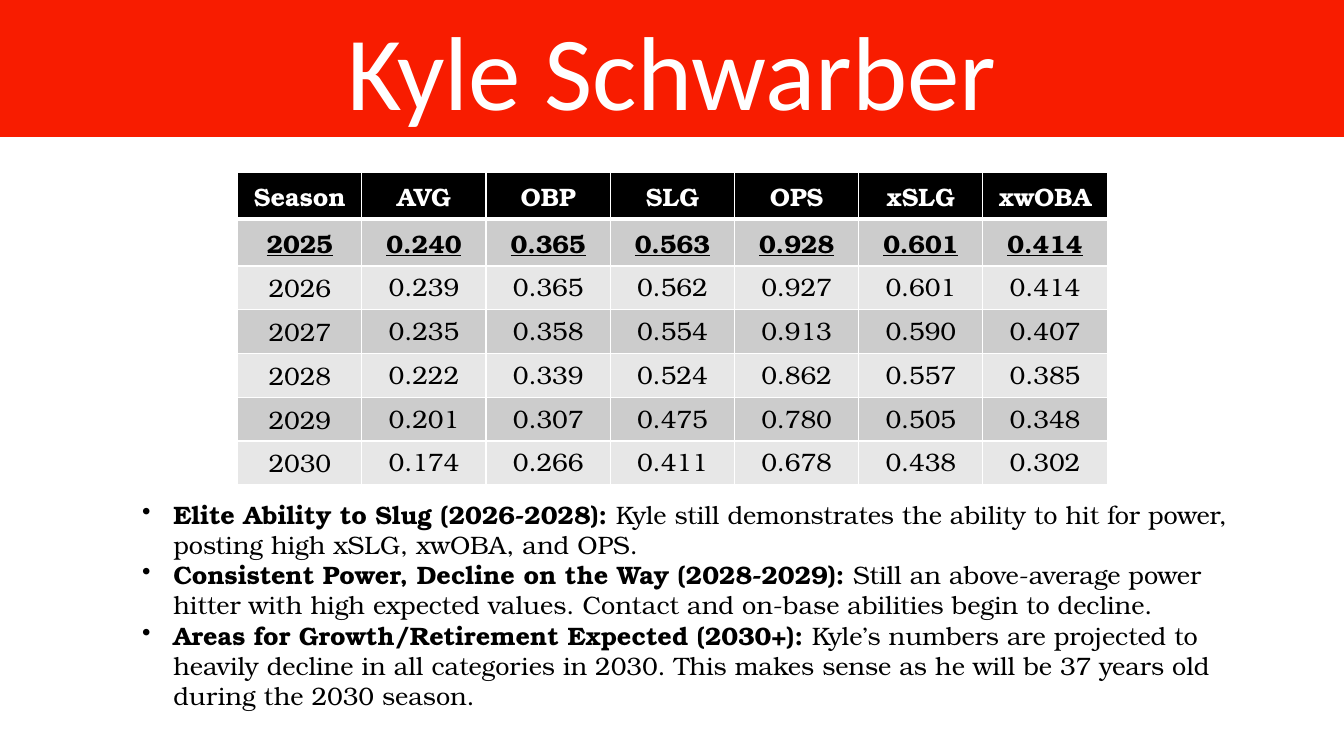
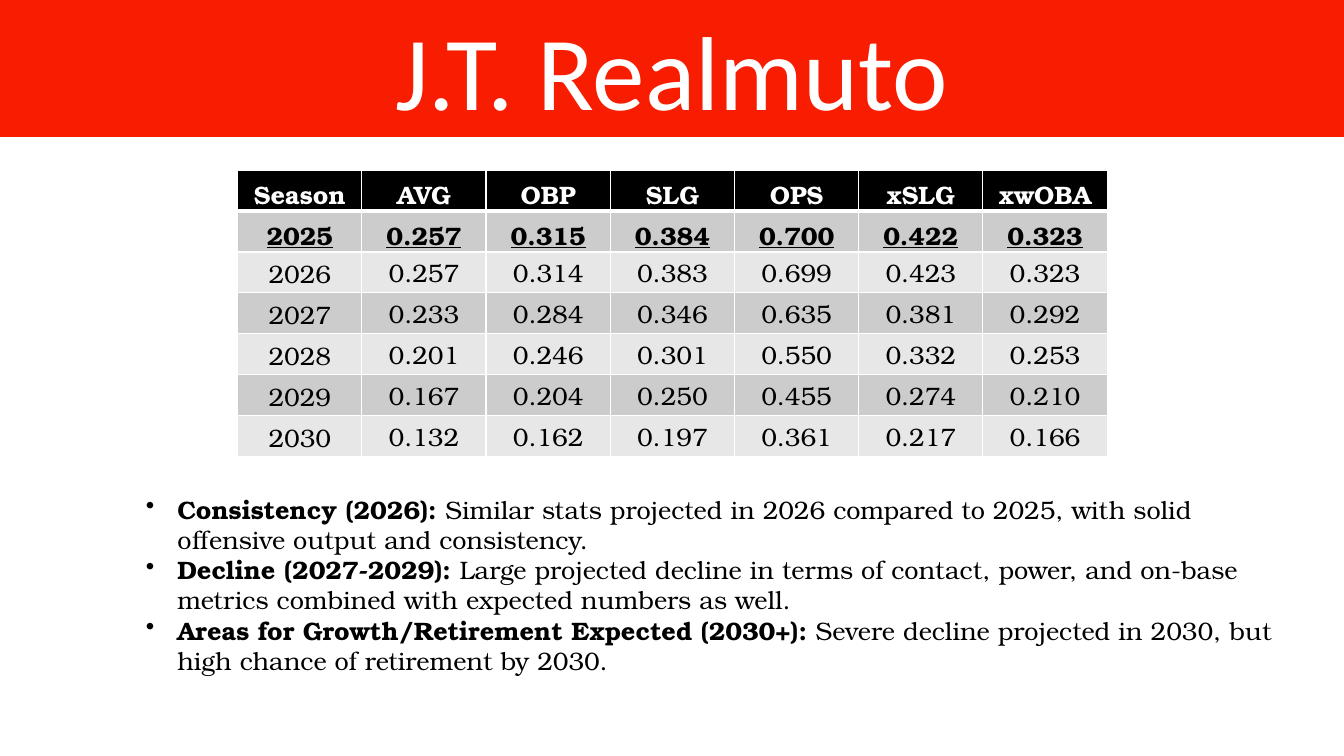
from lxml import etree
from pptx import Presentation
from pptx import util as u
from pptx.dml.color import RGBColor
from pptx.enum import shapes, text
from pptx.oxml.ns import qn

RED = RGBColor(0xF8, 0x1C, 0x00)
WHITE = RGBColor(0xFF, 0xFF, 0xFF)
BLACK = RGBColor(0x00, 0x00, 0x00)
DARK_BAND = RGBColor(0xCC, 0xCC, 0xCC)
LIGHT_BAND = RGBColor(0xE7, 0xE7, 0xE7)

TITLE_FONT = "Calibri"
BODY_FONT = "TeX Gyre Bonum"
COLUMN_WIDTH = u.Cm(3.13)
ROW_HEIGHT = u.Cm(1.03)
TABLE_LEFT = u.Cm(5.99)
BULLET_INDENT = u.Cm(0.79)
HEADINGS = ["Season", "AVG", "OBP", "SLG", "OPS", "xSLG", "xwOBA"]

PLAYERS = [
    {
        "name": "Kyle Schwarber",
        "table_top": 4.34,
        "notes_box": (3.33, 12.45, 28.24, 5.64),
        "seasons": [
            ["2025", "0.240", "0.365", "0.563", "0.928", "0.601", "0.414"],
            ["2026", "0.239", "0.365", "0.562", "0.927", "0.601", "0.414"],
            ["2027", "0.235", "0.358", "0.554", "0.913", "0.590", "0.407"],
            ["2028", "0.222", "0.339", "0.524", "0.862", "0.557", "0.385"],
            ["2029", "0.201", "0.307", "0.475", "0.780", "0.505", "0.348"],
            ["2030", "0.174", "0.266", "0.411", "0.678", "0.438", "0.302"],
        ],
        "outlook": [
            ("Elite Ability to Slug (2026-2028): ",
             "Kyle still demonstrates the ability to hit for power, posting high xSLG, xwOBA, and OPS."),
            ("Consistent Power, Decline on the Way (2028-2029): ",
             "Still an above-average power hitter with high expected values. "
             "Contact and on-base abilities begin to decline."),
            ("Areas for Growth/Retirement Expected (2030+): ",
             "Kyle’s numbers are projected to heavily decline in all categories in 2030. "
             "This makes sense as he will be 37 years old during the 2030 season."),
        ],
    },
    {
        "name": "J.T. Realmuto",
        "table_top": 4.29,
        "notes_box": (3.43, 12.32, 28.91, 4.88),
        "seasons": [
            ["2025", "0.257", "0.315", "0.384", "0.700", "0.422", "0.323"],
            ["2026", "0.257", "0.314", "0.383", "0.699", "0.423", "0.323"],
            ["2027", "0.233", "0.284", "0.346", "0.635", "0.381", "0.292"],
            ["2028", "0.201", "0.246", "0.301", "0.550", "0.332", "0.253"],
            ["2029", "0.167", "0.204", "0.250", "0.455", "0.274", "0.210"],
            ["2030", "0.132", "0.162", "0.197", "0.361", "0.217", "0.166"],
        ],
        "outlook": [
            ("Consistency (2026): ",
             "Similar stats projected in 2026 compared to 2025, with solid offensive output and consistency."),
            ("Decline (2027-2029): ",
             "Large projected decline in terms of contact, power, and on-base metrics "
             "combined with expected numbers as well."),
            ("Areas for Growth/Retirement Expected (2030+): ",
             "Severe decline projected in 2030, but high chance of retirement by 2030."),
        ],
    },
]


def set_font(paragraph, name, size, color):
    paragraph.font.name = name
    paragraph.font.size = u.Pt(size)
    paragraph.font.color.rgb = color


def add_borders(cell, row_index):
    properties = cell._tc.get_or_add_tcPr()
    for side in ("L", "R", "T", "B"):
        under_header = (row_index, side) in ((0, "B"), (1, "T"))
        line = etree.SubElement(properties, qn(f"a:ln{side}"), w=str(u.Pt(3 if under_header else 1)))
        fill = etree.SubElement(line, qn("a:solidFill"))
        etree.SubElement(fill, qn("a:srgbClr"), val=str(WHITE))


presentation = Presentation()
presentation.slide_width = u.Cm(33.87)
presentation.slide_height = u.Cm(19.05)

for player in PLAYERS:
    slide = presentation.slides.add_slide(presentation.slide_layouts[6])

    band = slide.shapes.add_shape(
        shapes.MSO_SHAPE.RECTANGLE, 0, 0, presentation.slide_width, u.Cm(3.45))
    band.shadow.inherit = False
    band.fill.solid()
    band.fill.fore_color.rgb = RED
    band.line.fill.background()
    band.text_frame.word_wrap = True
    title = band.text_frame.paragraphs[0]
    title.text = player["name"]
    title.alignment = text.PP_ALIGN.CENTER
    set_font(title, TITLE_FONT, 75, WHITE)

    rows = [HEADINGS] + player["seasons"]
    table = slide.shapes.add_table(
        len(rows), len(HEADINGS), TABLE_LEFT, u.Cm(player["table_top"]),
        COLUMN_WIDTH * len(HEADINGS), ROW_HEIGHT * len(rows)).table
    table.horz_banding = False
    for column in table.columns:
        column.width = COLUMN_WIDTH
    for row_index, values in enumerate(rows):
        table.rows[row_index].height = ROW_HEIGHT
        for column_index, value in enumerate(values):
            cell = table.cell(row_index, column_index)
            add_borders(cell, row_index)
            cell.fill.solid()
            cell.fill.fore_color.rgb = (
                BLACK if row_index == 0 else DARK_BAND if row_index % 2 else LIGHT_BAND)
            if row_index > 1 and column_index > 0:
                cell.margin_left = cell.margin_right = u.Cm(0.1)
                cell.margin_top = cell.margin_bottom = u.Cm(0.1)
            paragraph = cell.text_frame.paragraphs[0]
            paragraph.text = value
            paragraph.alignment = text.PP_ALIGN.CENTER
            set_font(paragraph, BODY_FONT, 18, WHITE if row_index == 0 else BLACK)
            paragraph.font.bold = row_index < 2
            paragraph.font.underline = row_index == 1

    frame = slide.shapes.add_textbox(*map(u.Cm, player["notes_box"])).text_frame
    frame.word_wrap = True
    for index, (heading, detail) in enumerate(player["outlook"]):
        paragraph = frame.add_paragraph() if index else frame.paragraphs[0]
        properties = paragraph._p.get_or_add_pPr()
        properties.set("marL", str(BULLET_INDENT))
        properties.set("indent", str(-BULLET_INDENT))
        etree.SubElement(properties, qn("a:buChar"), char="•")
        set_font(paragraph, BODY_FONT, 18, BLACK)
        for wording, bold in ((heading, True), (detail, False)):
            run = paragraph.add_run()
            run.text = wording
            run.font.bold = bold

presentation.save("out.pptx")
